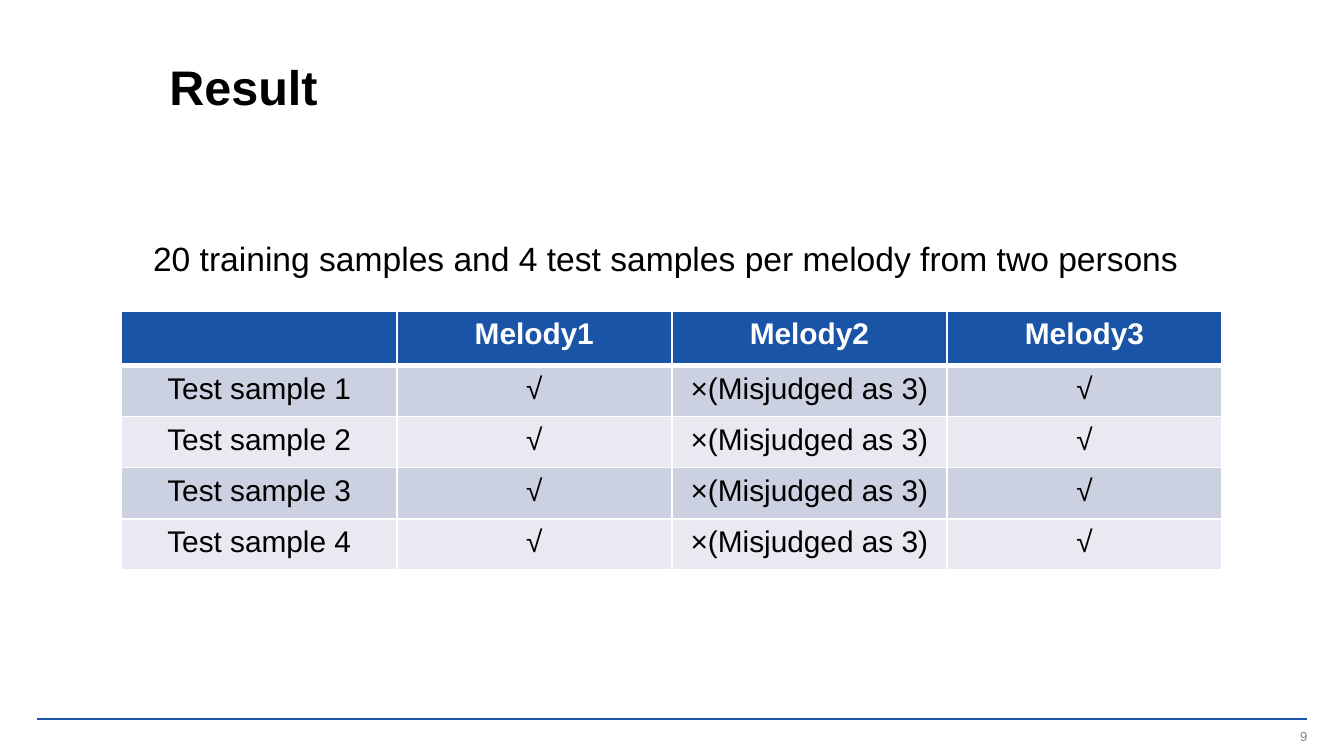
from pptx import Presentation
from pptx.dml.color import RGBColor
from pptx.enum.shapes import MSO_CONNECTOR
from pptx.enum.text import MSO_ANCHOR, MSO_AUTO_SIZE, PP_ALIGN
from pptx.oxml.ns import qn
from pptx.util import Pt
from lxml import etree

LEFT, CENTER, RIGHT = PP_ALIGN.LEFT, PP_ALIGN.CENTER, PP_ALIGN.RIGHT
MIDDLE, TOP = MSO_ANCHOR.MIDDLE, MSO_ANCHOR.TOP
NO_AUTOSIZE = MSO_AUTO_SIZE.NONE
STRAIGHT = MSO_CONNECTOR.STRAIGHT

BLUE, WHITE, BLACK, GREY = "1954A6", "FFFFFF", "000000", "848489"
BANDS = ("CCD1E1", "E8E9F1")
TITLE_ONLY = 5

RESULTS = [["", "Melody1", "Melody2", "Melody3"]] + [
    [f"Test sample {number}", "√", "×(Misjudged as 3)", "√"]
    for number in range(1, 5)
]


def color(hex_code):
    return RGBColor.from_string(hex_code)


def write(frame, text, size, hex_code=BLACK, bold=False, align=LEFT,
          line_spacing=None):
    paragraph = frame.paragraphs[0]
    paragraph.alignment = align
    if line_spacing:
        paragraph.line_spacing = Pt(line_spacing)
    run = paragraph.add_run()
    run.text = text
    run.font.name = "Arial"
    run.font.size = Pt(size)
    run.font.bold = bold
    run.font.color.rgb = color(hex_code)


def set_frame(frame, anchor, horizontal=7.2, vertical=3.6):
    frame.word_wrap = True
    frame.auto_size = NO_AUTOSIZE
    frame.vertical_anchor = anchor
    frame.margin_left = frame.margin_right = Pt(horizontal)
    frame.margin_top = frame.margin_bottom = Pt(vertical)


def add_title(slide, left, top, width, height):
    title = slide.shapes.title
    title.left, title.top = Pt(left), Pt(top)
    title.width, title.height = Pt(width), Pt(height)
    set_frame(title.text_frame, MIDDLE)
    write(title.text_frame, "Result", 26, bold=True, line_spacing=30)


def add_summary(slide, left, top, width, height):
    summary = slide.shapes.add_textbox(Pt(left), Pt(top), Pt(width), Pt(height))
    set_frame(summary.text_frame, TOP)
    write(summary.text_frame,
          "20 training samples and 4 test samples per melody from two persons",
          18)


def set_borders(cell, bottom_width):
    properties = cell._tc.get_or_add_tcPr()
    sides = (("a:lnL", 1), ("a:lnR", 1), ("a:lnT", 1), ("a:lnB", bottom_width))
    # Borders must come before the cell fill
    for position, (side, width) in enumerate(sides):
        border = etree.Element(qn(side), w=str(Pt(width)))
        fill = etree.SubElement(border, qn("a:solidFill"))
        etree.SubElement(fill, qn("a:srgbClr"), val=WHITE)
        properties.insert(position, border)


def add_results(slide, left, top, width, height, header_height=28):
    row_count, column_count = len(RESULTS), len(RESULTS[0])
    table = slide.shapes.add_table(row_count, column_count, Pt(left), Pt(top),
                                   Pt(width), Pt(height)).table
    for column in table.columns:
        column.width = Pt(width / column_count)
    for index, values in enumerate(RESULTS):
        header = index == 0
        table.rows[index].height = Pt(
            header_height if header
            else (height - header_height) / (row_count - 1))
        for cell, value in zip(table.rows[index].cells, values):
            cell.fill.solid()
            cell.fill.fore_color.rgb = color(
                BLUE if header else BANDS[(index - 1) % 2])
            # The thick rule under the header is shared with the first row
            set_borders(cell, bottom_width=3 if header else 1)
            if value:
                write(cell.text_frame, value, 16, WHITE if header else BLACK,
                      bold=header, align=CENTER)
    # One width for the rule on both sides of the header edge
    for cell in table.rows[1].cells:
        cell._tc.tcPr.find(qn("a:lnT")).set("w", str(Pt(3)))


def add_footer(slide, left, top, width, height):
    # Rule across the slide
    rule = slide.shapes.add_connector(STRAIGHT, Pt(left), Pt(top),
                                      Pt(left + width), Pt(top))
    rule.line.color.rgb = color(BLUE)
    rule.line.width = Pt(1)
    etree.SubElement(rule._element.spPr, qn("a:effectLst"))

    # Page number, flush with the end of the rule
    number_width, number_height = 162, 9.4
    number = slide.shapes.add_textbox(
        Pt(left + width - number_width), Pt(top + height - number_height),
        Pt(number_width), Pt(number_height))
    set_frame(number.text_frame, MIDDLE, horizontal=0, vertical=0)
    write(number.text_frame, "9", 7, GREY, align=RIGHT)


def main():
    presentation = Presentation()
    presentation.slide_width, presentation.slide_height = Pt(720), Pt(405)
    slide = presentation.slides.add_slide(
        presentation.slide_layouts[TITLE_ONLY])
    add_footer(slide, 19.6, 385.2, 680.8, 13.8)
    add_title(slide, 83.5, 20.2, 594.7, 53.3)
    add_results(slide, 65.2, 166.6, 589.6, 137.6)
    add_summary(slide, 74.9, 123.8, 570.2, 28.8)
    presentation.save("out.pptx")


if __name__ == "__main__":
    main()
